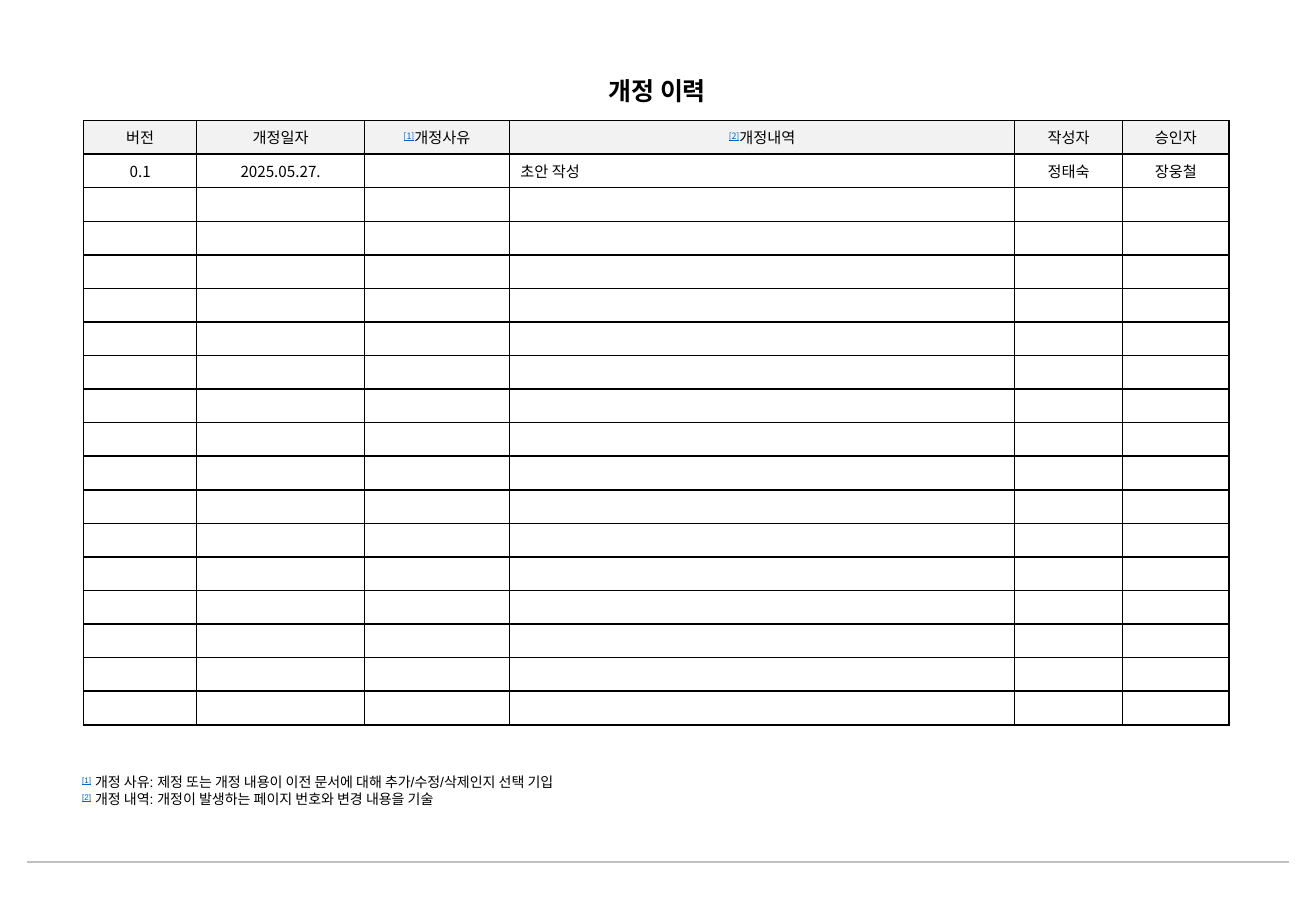
from lxml import etree
from pptx import Presentation
from pptx.dml.color import RGBColor
from pptx.enum.shapes import MSO_CONNECTOR
from pptx.enum.text import MSO_ANCHOR, MSO_AUTO_SIZE, PP_ALIGN
from pptx.oxml.ns import qn
from pptx.util import Cm, Pt

LEFT, CENTER = PP_ALIGN.LEFT, PP_ALIGN.CENTER
MIDDLE = MSO_ANCHOR.MIDDLE
FIT_SHAPE = MSO_AUTO_SIZE.SHAPE_TO_FIT_TEXT
STRAIGHT = MSO_CONNECTOR.STRAIGHT

BLACK = RGBColor(0x00, 0x00, 0x00)
LINK_BLUE = RGBColor(0x05, 0x63, 0xC1)
HEADER_GRAY = RGBColor(0xF2, 0xF2, 0xF2)
RULE_GRAY = RGBColor(0xC0, 0xC0, 0xC0)

KOREAN_FONT = "Noto Sans CJK KR"
LATIN_FONT = "Arial"
TABLE_SIZE = 9

COLUMN_WIDTHS = (2.36, 3.51, 3.03, 10.56, 2.26, 2.22)
ROW_COUNT = 18
DETAIL_COLUMN = 3
HEADERS = (("", "버전"), ("", "개정일자"), ("[1]", "개정사유"),
           ("[2]", "개정내역"), ("", "작성자"), ("", "승인자"))
FIRST_REVISION = ("0.1", "2025.05.27.", "", "초안 작성", "정태숙", "장웅철")
FOOTNOTES = (
    ("[1]", " 개정 사유: 제정 또는 개정 내용이 이전 문서에 대해 추가/수정/삭제인지 선택 기입"),
    ("[2]", " 개정 내역: 개정이 발생하는 페이지 번호와 변경 내용을 기술"),
)


def add_run(p, text, size, font, color=BLACK, bold=False):
    r = p.add_run()
    r.text = text
    r.font.size = Pt(size)
    r.font.name = font
    r.font.bold = bold
    r.font.color.rgb = color
    etree.SubElement(r.font._element, qn("a:ea"), typeface=KOREAN_FONT)
    return r


def add_marked_text(p, mark, text, size, font):
    """Write text after an optional raised, underlined note mark."""
    if mark:
        r = add_run(p, mark, size, font, LINK_BLUE)
        r.font.underline = True
        r.font._element.set("baseline", "30000")
    if text:
        add_run(p, text, size, font)


def set_borders(cell, width=Pt(1)):
    tc_pr = cell._tc.get_or_add_tcPr()
    for side in ("a:lnL", "a:lnR", "a:lnT", "a:lnB"):
        ln = etree.SubElement(tc_pr, qn(side), w=str(width))
        fill = etree.SubElement(ln, qn("a:solidFill"))
        etree.SubElement(fill, qn("a:srgbClr"), val=str(BLACK))


def fill_cell(cell, mark, text, align, header):
    cell.margin_left = cell.margin_right = Cm(0.23)
    cell.margin_top = cell.margin_bottom = Cm(0.12)
    cell.vertical_anchor = MIDDLE
    set_borders(cell)
    if header:
        cell.fill.solid()
        cell.fill.fore_color.rgb = HEADER_GRAY
    else:
        cell.fill.background()
    p = cell.text_frame.paragraphs[0]
    p.alignment = align
    add_marked_text(p, mark, text, TABLE_SIZE, KOREAN_FONT)
    if not text:
        end = etree.SubElement(p._p, qn("a:endParaRPr"), sz=str(TABLE_SIZE * 100))
        for tag in ("a:latin", "a:ea"):
            etree.SubElement(end, qn(tag), typeface=KOREAN_FONT)


def add_revision_table(slide, left, top, width, height):
    table = slide.shapes.add_table(ROW_COUNT, len(COLUMN_WIDTHS),
                                   Cm(left), Cm(top), Cm(width), Cm(height)).table
    table.first_row = table.horz_banding = False
    for column, column_width in zip(table.columns, COLUMN_WIDTHS):
        column.width = Cm(column_width)
    blank = [("", "")] * len(COLUMN_WIDTHS)
    rows = [HEADERS, [("", text) for text in FIRST_REVISION]]
    rows += [blank] * (ROW_COUNT - len(rows))
    for i, row in enumerate(rows):
        for j, (mark, text) in enumerate(row):
            align = LEFT if i and j == DETAIL_COLUMN else CENTER
            fill_cell(table.cell(i, j), mark, text, align, header=i == 0)


def add_text_frame(slide, left, top, width, height):
    tf = slide.shapes.add_textbox(Cm(left), Cm(top), Cm(width), Cm(height)).text_frame
    tf.word_wrap = False
    tf.auto_size = FIT_SHAPE
    tf.vertical_anchor = MIDDLE
    return tf


def add_title(slide, left, top, width, height):
    p = add_text_frame(slide, left, top, width, height).paragraphs[0]
    p.alignment = CENTER
    add_run(p, "개정 이력", 14.8, LATIN_FONT, bold=True)


def add_footnotes(slide, left, top, width, height):
    tf = add_text_frame(slide, left, top, width, height)
    for i, (mark, text) in enumerate(FOOTNOTES):
        p = tf.add_paragraph() if i else tf.paragraphs[0]
        add_marked_text(p, mark, text, 8.3, LATIN_FONT)


def add_footer_rule(slide, left, top, width):
    line = slide.shapes.add_connector(STRAIGHT, Cm(left), Cm(top),
                                      Cm(left + width), Cm(top))
    line.line.color.rgb = RULE_GRAY
    line.line.width = Pt(1.5)
    etree.SubElement(line._element.spPr, qn("a:effectLst"))


def main():
    prs = Presentation()
    prs.slide_width, prs.slide_height = Cm(27.51), Cm(19.05)
    slide = prs.slides.add_slide(prs.slide_layouts[6])
    add_footer_rule(slide, 0.56, 18.03, 26.39)
    add_revision_table(slide, 1.75, 2.52, sum(COLUMN_WIDTHS), 12.53)
    add_footnotes(slide, 1.47, 16.05, 11.73, 0.97)
    add_title(slide, 12.37, 1.45, 2.74, 0.89)
    prs.save("out.pptx")


if __name__ == "__main__":
    main()
